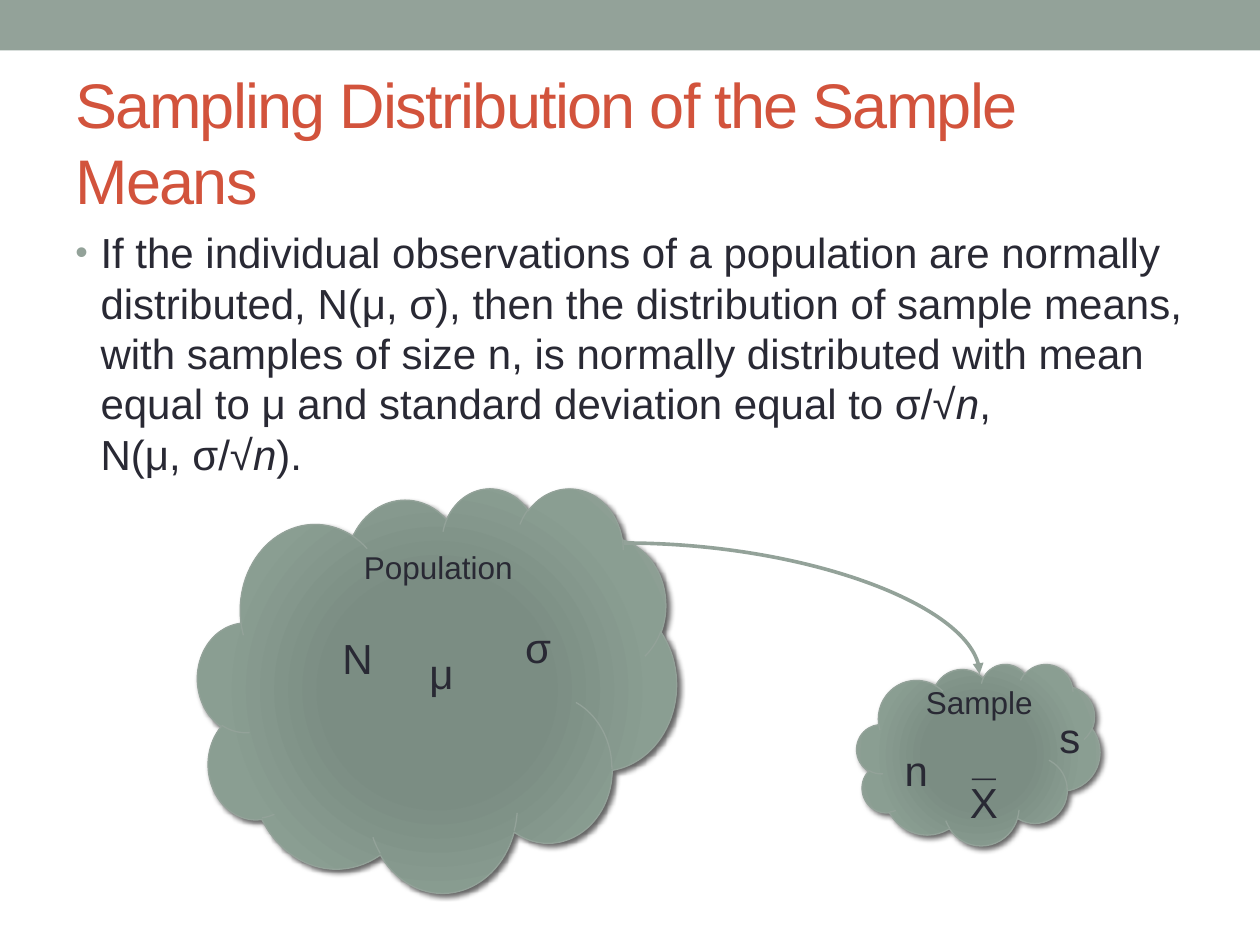
import pptx
import pptx.util
import pptx.dml.color
import pptx.enum.shapes
import pptx.enum.text
import pptx.oxml
import pptx.oxml.ns

Pt = pptx.util.Pt
RGBColor = pptx.dml.color.RGBColor
SHAPES = pptx.enum.shapes.MSO_SHAPE
ANCHOR = pptx.enum.text.MSO_ANCHOR
NAMESPACE = pptx.oxml.ns.nsdecls("a")

SAGE = RGBColor(0x93, 0xA2, 0x99)
RUST = RGBColor(0xD2, 0x53, 0x3C)
INK = RGBColor(0x29, 0x29, 0x34)
CLOUD_STOPS = [(0, "7B8E82"), (34, "7B8D83"), (70, "8A9E92"), (100, "93A299")]


def style_span(span, size, color=INK):
    """Set the font, size and colour of one run."""
    span.font.name = "Arial"
    span.font.size = Pt(size)
    span.font.color.rgb = color


def add_label(page, text, left, top, width, height, size):
    """Add a one-line text box and return its run."""
    box = page.shapes.add_textbox(Pt(left), Pt(top), Pt(width), Pt(height))
    box.text_frame.word_wrap = False
    box.text_frame.text = text
    span = box.text_frame.paragraphs[0].runs[0]
    style_span(span, size)
    return span


deck = pptx.Presentation()
deck.slide_width, deck.slide_height = Pt(720), Pt(540)
page = deck.slides.add_slide(deck.slide_layouts[5])

# Top band
band = page.shapes.add_shape(SHAPES.RECTANGLE, 0, 0, Pt(720), Pt(28.8))
band.shadow.inherit = False
band.fill.solid()
band.fill.fore_color.rgb = SAGE
band.line.fill.background()

# Title
title = page.shapes.title
title.left, title.top, title.width, title.height = Pt(36), Pt(41.76), Pt(648), Pt(77.76)
title.text_frame.text = "Sampling Distribution of the Sample Means"
title.text_frame.vertical_anchor = ANCHOR.MIDDLE
title.text_frame.auto_size = pptx.enum.text.MSO_AUTO_SIZE.NONE
para = title.text_frame.paragraphs[0]
para.alignment = pptx.enum.text.PP_ALIGN.LEFT
style_span(para.runs[0], 36, RUST)
para.runs[0].font._element.set("spc", "-100")

# Statement, with every n under a root in italics
body = page.shapes.add_textbox(Pt(36), Pt(126), Pt(648), Pt(383.76))
body.text_frame.word_wrap = True
para = body.text_frame.paragraphs[0]
para.text = (
    "If the individual observations of a population are normally distributed, "
    "N(μ, σ), then the distribution of sample means, with samples of size n, is "
    "normally distributed with mean equal to μ and standard deviation equal to σ/√"
)
for text in ["n", ", ", "\v", "N(μ, σ/√", "n", "). "]:
    if text == "\v":
        para.add_line_break()
    else:
        para.add_run().text = text
for span in para.runs:
    style_span(span, 24)
    span.font.italic = span.text == "n"
properties = para._p.get_or_add_pPr()
properties.set("marL", str(Pt(14.4)))
properties.set("indent", str(-Pt(14.4)))
for xml in [
    '<a:spcBef {}><a:spcPct val="20000"/></a:spcBef>',
    '<a:buClr {}><a:srgbClr val="93A299"/></a:buClr>',
    '<a:buSzPct {} val="85000"/>',
    '<a:buFont {} typeface="Arial"/>',
    '<a:buChar {} char="•"/>',
]:
    properties.append(pptx.oxml.parse_xml(xml.format(NAMESPACE)))

# Population and sample clouds
stops = "".join(
    f'<a:gs pos="{position * 1000}"><a:srgbClr val="{color}"/></a:gs>'
    for position, color in CLOUD_STOPS
)
gradient = (
    f'<a:gradFill {NAMESPACE} rotWithShape="1"><a:gsLst>{stops}</a:gsLst><a:path path="circle">'
    '<a:fillToRect l="100000" t="100000" r="100000" b="100000"/></a:path></a:gradFill>'
)
shadow = (
    f'<a:effectLst {NAMESPACE}><a:outerShdw blurRad="{Pt(3)}" dist="{Pt(2)}" dir="2700000" '
    'rotWithShape="0"><a:srgbClr val="000000"><a:alpha val="60000"/></a:srgbClr>'
    "</a:outerShdw></a:effectLst>"
)
for left, top, width, height in [(113, 278.6, 273.6, 231.1), (489.6, 379.4, 139, 103.7)]:
    cloud = page.shapes.add_shape(SHAPES.CLOUD, Pt(left), Pt(top), Pt(width), Pt(height))
    cloud.line.color.rgb = SAGE
    cloud.line.width = Pt(0.75)
    outline = cloud.line._get_or_add_ln()
    outline.addprevious(pptx.oxml.parse_xml(gradient))
    outline.addnext(pptx.oxml.parse_xml(shadow))

# Curved arrow from population to sample
arrow = page.shapes.add_connector(
    pptx.enum.shapes.MSO_CONNECTOR.CURVE, Pt(356.4), Pt(310.3), Pt(559.8), Pt(385.2)
)
arrow._element.spPr.prstGeom.set("prst", "curvedConnector2")
arrow.line.color.rgb = SAGE
arrow.line.width = Pt(2.08)
outline = arrow.line._get_or_add_ln()
outline.append(pptx.oxml.parse_xml(f'<a:tailEnd {NAMESPACE} type="triangle"/>'))
outline.addnext(pptx.oxml.parse_xml(f"<a:effectLst {NAMESPACE}/>"))

# Cloud names and symbols
for text, left, top, width in [("Population", 200.9, 309.6, 100.8), ("Sample", 522, 386.6, 76.3)]:
    add_label(page, text, left, top, width, 28.8, 18)
for text, left, top, width in [
    ("N", 188.6, 357.8, 32.4),
    ("μ", 238.3, 366.5, 38.9),
    ("σ", 293, 351.4, 29.5),
    ("X", 547.2, 439.9, 31),
    ("_", 548.6, 415.4, 28.8),
    ("s", 598.3, 403.2, 26.6),
    ("n", 509.8, 421.9, 28.1),
]:
    span = add_label(page, text, left, top, width, 36, 24)
    span.font.bold = text == "_"

deck.save("out.pptx")
